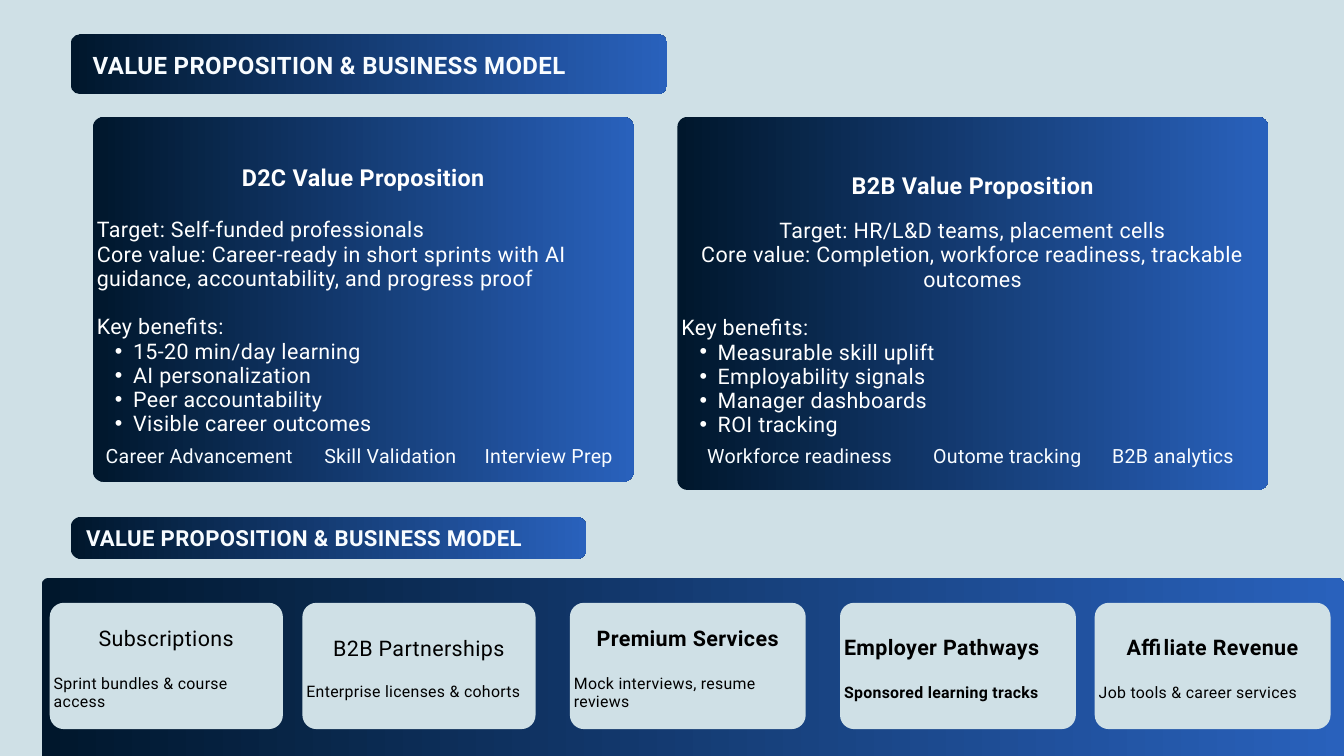
from lxml import etree
from pptx import Presentation, util as u
from pptx.dml.color import RGBColor
from pptx.enum import shapes, text
from pptx.oxml.ns import qn

PX = 9144  # EMU per px, 100 px to the inch
PALE, NAVY, BLUE = "CFE0E6", "00172C", "2961BC"
WHITE, SOFT_WHITE, BLACK = "FFFFFF", "F8FCFF", "000000"
LEFT, CENTER = text.PP_ALIGN.LEFT, text.PP_ALIGN.CENTER
HEADING = "VALUE PROPOSITION & BUSINESS MODEL"


def rgb(hex_color):
    return RGBColor.from_string(hex_color)


def px(*lengths):
    return [u.Emu(length * PX) for length in lengths]


def rounded_box(slide, box, radius, color=None):
    """Rounded rectangle: plain if a colour is given, else navy to blue."""
    panel = slide.shapes.add_shape(shapes.MSO_SHAPE.ROUNDED_RECTANGLE, *px(*box))
    panel.adjustments[0] = radius / min(box[2:])
    panel.shadow.inherit = False
    panel.line.fill.background()
    if color:
        panel.fill.solid()
        panel.fill.fore_color.rgb = rgb(color)
        return
    panel.fill.gradient()
    panel.fill.gradient_angle = 0
    for stop, position, shade in zip(panel.fill.gradient_stops, (0, 1), (NAVY, BLUE)):
        stop.position = position
        stop.color.rgb = rgb(shade)


def text_area(slide, box, inset=0, anchor=text.MSO_ANCHOR.TOP, holder=None):
    """Text frame over the box, in a placeholder if one is given."""
    if holder is None:
        holder = slide.shapes.add_textbox(*px(*box))
    else:
        holder.left, holder.top, holder.width, holder.height = px(*box)
        slide.shapes._spTree.append(holder._element)  # in front of its panel
    frame = holder.text_frame
    frame.word_wrap = True
    frame.auto_size = text.MSO_AUTO_SIZE.NONE
    frame.vertical_anchor = anchor
    frame.margin_left, frame.margin_top, frame.margin_right, frame.margin_bottom = px(*[inset] * 4)
    return frame


def add_line(frame, words, size, pitch, color, bold=False, align=LEFT,
             gap=0, tracking=0.4, bullet=False):
    paragraph = frame.paragraphs[0]
    if paragraph.text:
        paragraph = frame.add_paragraph()
    paragraph.text = words
    properties = paragraph._p.get_or_add_pPr()
    indent, hanging = px(54, -27) if bullet else (0, 0)
    properties.set("marL", str(indent))
    properties.set("indent", str(hanging))
    if bullet:
        etree.SubElement(properties, qn("a:buFont")).set("typeface", "Arial")
        etree.SubElement(properties, qn("a:buChar")).set("char", "•")
    else:
        etree.SubElement(properties, qn("a:buNone"))
    paragraph.alignment = align
    paragraph.line_spacing = u.Pt(pitch)
    paragraph.space_before, paragraph.space_after = u.Pt(gap), u.Pt(0)
    for run in paragraph.runs:
        run.font.name, run.font.size, run.font.bold = "Roboto", u.Pt(size), bold
        run.font.color.rgb = rgb(color)
        run._r.get_or_add_rPr().set("spc", str(round(tracking * 100)))


def banner(slide, box, radius, offset, size, pitch, holder=None):
    left, top, _, _ = box
    rounded_box(slide, box, radius)
    frame = text_area(slide, (left + offset[0], top + offset[1], 782, 40), holder=holder)
    add_line(frame, HEADING, size, pitch, SOFT_WHITE, bold=True)


def proposition(slide, box, radius, holder, content):
    left, top, width, height = box
    rounded_box(slide, box, radius)
    frame = text_area(slide, (left, top + 4, width, height - 4), 6,
                      text.MSO_ANCHOR.MIDDLE, holder)
    add_line(frame, content["title"], 25, 28.2, WHITE, bold=True, align=CENTER)
    for words, gap in zip(content["summary"], (content["gap"], 0)):
        add_line(frame, words, 23, 26, WHITE, align=content["align"], gap=gap)
    add_line(frame, "Key benefits:", 23, 26, WHITE, gap=26)
    for benefit in content["benefits"]:
        add_line(frame, benefit, 23, 26, WHITE, bullet=True)

    # Outcome tags along the foot
    for words, offset, tag_width in content["tags"]:
        tag = text_area(slide, (left + offset, 662, tag_width, 33))
        add_line(tag, words, 21, 23.7, SOFT_WHITE, align=CENTER, tracking=0.3)


def revenue_card(slide, box, name, detail, bold_name, bold_detail, align, gap):
    left, top, width, height = box
    rounded_box(slide, box, 21, PALE)
    frame = text_area(slide, (left, top + 8, width, height - 8), 6, text.MSO_ANCHOR.MIDDLE)
    add_line(frame, name, 23, 26, BLACK, bold_name, align)
    add_line(frame, detail, 17, 19.2, BLACK, bold_detail, gap=gap, tracking=0.3)


def revenue_band(slide, box, cards):
    left, top, _, _ = box
    rounded_box(slide, box, 10)
    for offset, width, *content in cards:
        revenue_card(slide, (left + offset, top + 37, width, 188), *content)


D2C = {
    "title": "D2C Value Proposition",
    "summary": ("Target: Self-funded professionals",
                "Core value: Career-ready in short sprints with AI guidance, "
                "accountability, and progress proof"),
    "align": LEFT, "gap": 28.2,
    "benefits": ("15-20 min/day learning", "AI personalization",
                 "Peer accountability", "Visible career outcomes"),
    "tags": (("Career Advancement", 5, 307), ("Skill Validation", 337, 212),
             ("Interview Prep", 575, 207)),
}
B2B = {
    "title": "B2B Value Proposition",
    "summary": ("Target: HR/L&D teams, placement cells",
                "Core value: Completion, workforce readiness, trackable outcomes"),
    "align": CENTER, "gap": 21.5,
    "benefits": ("Measurable skill uplift", "Employability signals",
                 "Manager dashboards", "ROI tracking"),
    "tags": (("Workforce readiness", 30, 304), ("Outome tracking", 370, 242),
             ("B2B analytics", 638, 199)),
}
# Offset, width, name, detail, bold name, bold detail, name alignment, gap
REVENUE = (
    (12, 347, "Subscriptions", "Sprint bundles & course access", False, False, CENTER, 26),
    (388, 347, "B2B Partnerships", "Enterprise licenses & cohorts", False, False, CENTER, 22.6),
    (786, 351, "Premium Services", "Mock interviews, resume reviews", True, False, CENTER, 26),
    (1188, 351, "Employer Pathways", "Sponsored learning tracks", True, True, LEFT, 26),
    (1567, 351, "Affiliate Revenue", "Job tools & career services", True, False, CENTER, 26),
)


def main():
    deck = Presentation()
    deck.slide_width, deck.slide_height = px(2000, 1125)
    slide = deck.slides.add_slide(deck.slide_layouts[3])  # title and two bodies
    slide.background.fill.solid()
    slide.background.fill.fore_color.rgb = rgb(PALE)
    title, d2c_body, b2b_body = slide.placeholders

    banner(slide, (105, 51, 888, 89), 14, (33, 27), 25.7, 29, title)
    proposition(slide, (138, 174, 805, 543), 16, d2c_body, D2C)
    proposition(slide, (1008, 174, 879, 555), 15, b2b_body, B2B)
    banner(slide, (105, 769, 768, 63), 16, (23, 14), 23.7, 26.8)
    revenue_band(slide, (62, 860, 1938, 273), REVENUE)
    deck.save("out.pptx")


if __name__ == "__main__":
    main()
